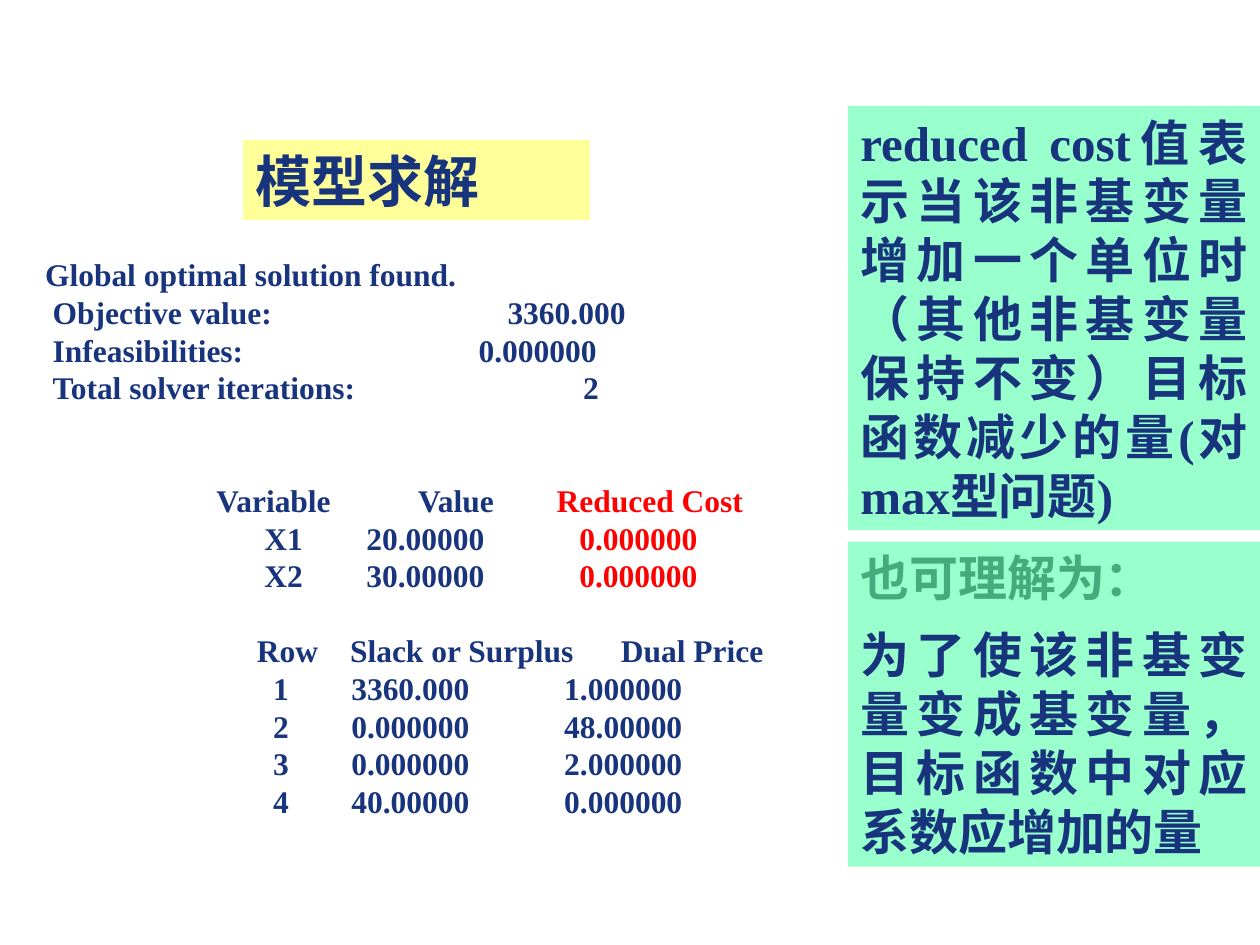
"""Build the solver result slide with its two notes on reduced cost."""
from dataclasses import dataclass

from lxml.etree import SubElement
from pptx import Presentation
from pptx.dml.color import RGBColor
from pptx.enum.shapes import MSO_SHAPE
from pptx.enum.text import MSO_ANCHOR, PP_ALIGN
from pptx.oxml.ns import qn
from pptx.util import Inches, Pt


@dataclass(frozen=True)
class Theme:
    font: str = "Times New Roman"
    navy: str = "17347D"
    red: str = "FF0000"
    green: str = "45AB7D"
    mint: str = "99FFCC"
    yellow: str = "FFFF99"
    white: str = "FFFFFF"
    head: int = 32
    note: int = 28
    body: int = 18
    gap: float = 10.5
    line: float = 21.5


LOOK = Theme()
WIDE, HIGH = Inches(10), Inches(7.5)


def across(share):
    return round(WIDE * share / 100)


def down(share):
    return round(HIGH * share / 100)


def add_box(slide, left, top, width, height, fill):
    box = slide.shapes.add_shape(MSO_SHAPE.RECTANGLE, across(left), down(top),
                                 across(width), down(height))
    box.shadow.inherit = False
    box.fill.solid()
    box.fill.fore_color.rgb = RGBColor.from_string(fill)
    box.line.fill.background()
    frame = box.text_frame
    frame.word_wrap = True
    frame.vertical_anchor = MSO_ANCHOR.TOP
    return frame


def add_line(frame, first, align=PP_ALIGN.LEFT, before=0):
    line = frame.paragraphs[0] if first else frame.add_paragraph()
    line.alignment = align
    line.space_before = Pt(before)
    return line


def add_run(line, text, size, color=LOOK.navy):
    run = line.add_run()
    run.text = text
    font = run.font
    font.name, font.size, font.bold = LOOK.font, Pt(size), True
    font.color.rgb = RGBColor.from_string(color)


def set_tabs(line, stops):
    tabs = SubElement(line._p.get_or_add_pPr(), qn("a:tabLst"))
    for stop in stops:
        SubElement(tabs, qn("a:tab"), pos=str(across(stop)), algn="l")


def add_title(slide, text):
    frame = add_box(slide, 19.3, 14.8, 27.5, 8.5, LOOK.yellow)
    add_run(add_line(frame, True), text, LOOK.head)


def add_note(slide, top, height, parts):
    frame = add_box(slide, 67.3, top, 32.7, height, LOOK.mint)
    for spot, (text, color) in enumerate(parts):
        before = LOOK.gap if spot else 0
        line = add_line(frame, spot == 0, PP_ALIGN.JUSTIFY, before)
        add_run(line, text, LOOK.note, color)


def add_report(slide, rows):
    frame = add_box(slide, 2, 26.4, 65, 61.3, LOOK.white)
    for spot, (cells, stops, skip, last) in enumerate(rows):
        line = add_line(frame, spot == 0, before=skip * LOOK.line)
        line.line_spacing = Pt(LOOK.line)
        set_tabs(line, stops)
        for col, cell in enumerate(cells):
            color = last if col == len(cells) - 1 else LOOK.navy
            add_run(line, "\t" + cell, LOOK.body, color)


def main():
    deck = Presentation()
    deck.slide_width, deck.slide_height = WIDE, HIGH
    slide = deck.slides.add_slide(deck.slide_layouts[6])
    navy, red = LOOK.navy, LOOK.red
    vars_at, rows_at = (18, 26.1, 43), (18.7, 24.9, 41.8)

    add_title(slide, "模型求解")
    add_note(slide, 11.2, 44.9, [
        ("reduced cost值表示当该非基变量增加一个单位时（其他非基变量保持不变）"
         "目标函数减少的量(对max型问题)", navy)])
    add_report(slide, [
        (("Global optimal solution found.",), (0.6,), 0, navy),
        (("Objective value:", "3360.000"), (1.2, 37.3), 0, navy),
        (("Infeasibilities:", "0.000000"), (1.2, 35), 0, navy),
        (("Total solver iterations:", "2"), (1.2, 43.3), 0, navy),
        (("Variable", "Value", "Reduced Cost"), (14.2, 30.2, 41.2), 2, red),
        (("X1", "20.00000", "0.000000"), vars_at, 0, red),
        (("X2", "30.00000", "0.000000"), vars_at, 0, red),
        (("Row", "Slack or Surplus", "Dual Price"), (17.4, 24.8, 46.3), 1, navy),
        (("1", "3360.000", "1.000000"), rows_at, 0, navy),
        (("2", "0.000000", "48.00000"), rows_at, 0, navy),
        (("3", "0.000000", "2.000000"), rows_at, 0, navy),
        (("4", "40.00000", "0.000000"), rows_at, 0, navy)])
    add_note(slide, 57.3, 34.4, [
        ("也可理解为：", LOOK.green),
        ("为了使该非基变量变成基变量，目标函数中对应系数应增加的量", navy)])
    deck.save("out.pptx")


main()
